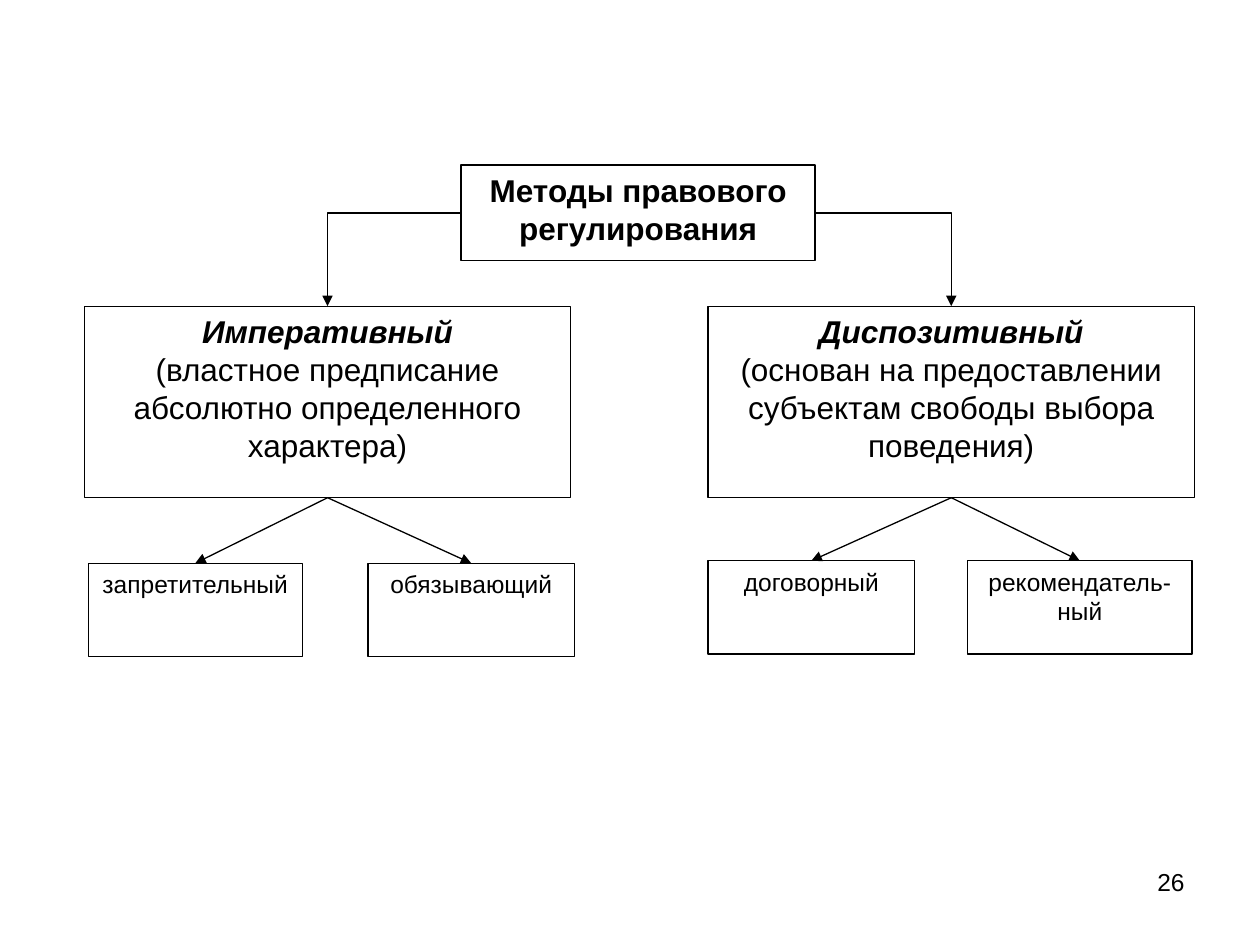
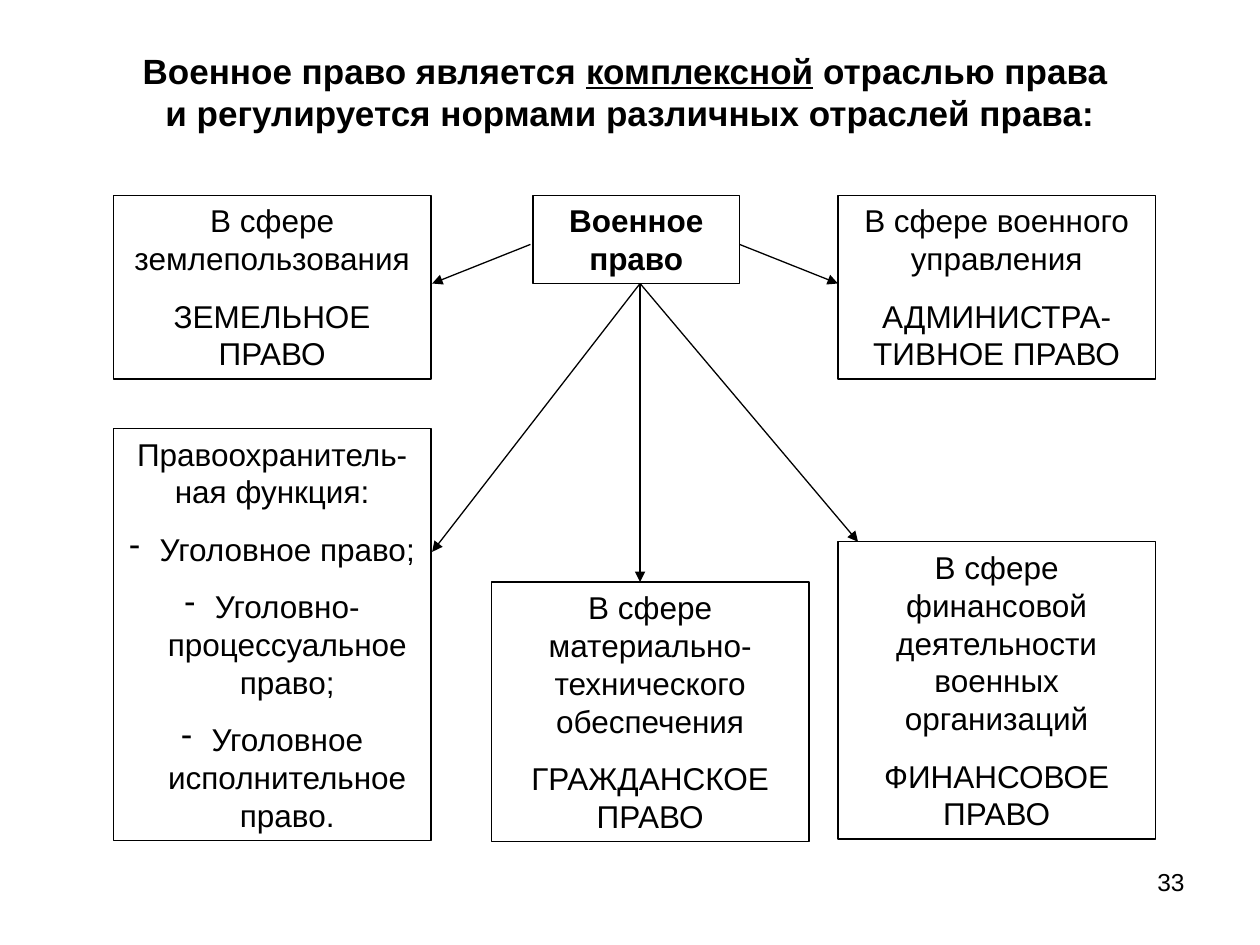
from lxml import etree
from pptx import Presentation
from pptx.dml.color import RGBColor
from pptx.enum.shapes import MSO_CONNECTOR, MSO_SHAPE
from pptx.enum.text import MSO_ANCHOR, PP_ALIGN
from pptx.oxml.ns import qn
from pptx.util import Inches, Pt

CENTER, RIGHT = PP_ALIGN.CENTER, PP_ALIGN.RIGHT
TOP, MIDDLE = MSO_ANCHOR.TOP, MSO_ANCHOR.MIDDLE
RECTANGLE = MSO_SHAPE.RECTANGLE
STRAIGHT, ELBOW = MSO_CONNECTOR.STRAIGHT, MSO_CONNECTOR.ELBOW
# Connection sites of a rectangle
SITE_TOP, SITE_LEFT, SITE_BOTTOM, SITE_RIGHT = range(4)


def color(value):
    return RGBColor.from_string(value)


class Deck:
    font_name = "Arial"
    ink = "000000"
    paper = "FFFFFF"
    line_width = 0.75
    title_size, body_size, small_size = 20, 18, 14
    paragraph_gap = 11.2
    bullet_indent = 0.24

    def __init__(self):
        self.presentation = Presentation()
        self.presentation.slide_width = Inches(10)
        self.presentation.slide_height = Inches(7.5)
        self.slide = None

    def add_slide(self, number):
        layout = self.presentation.slide_layouts[6]
        self.slide = self.presentation.slides.add_slide(layout)
        text_frame = self.text_box(7.17, 6.83, 2.33, 0.52)
        text_frame.text = str(number)
        self.style(text_frame.paragraphs[0], self.small_size, align=RIGHT)

    def text_box(self, left, top, width, height, anchor=TOP):
        shape = self.slide.shapes.add_textbox(
            Inches(left), Inches(top), Inches(width), Inches(height))
        shape.text_frame.word_wrap = True
        shape.text_frame.vertical_anchor = anchor
        return shape.text_frame

    def style(self, paragraph, size, bold=False, italic=False, align=CENTER):
        paragraph.alignment = align
        for run in paragraph.runs:
            font = run.font
            font.name, font.size = self.font_name, Pt(size)
            font.bold, font.italic = bold, italic
            font.color.rgb = color(self.ink)

    def title(self, lines):
        """Each line is a list of (text, underlined) pairs."""
        text_frame = self.text_box(0.5, 0.3, 9, 0.85, MIDDLE)
        paragraph = text_frame.paragraphs[0]
        for index, line in enumerate(lines):
            if index:
                paragraph.add_line_break()
            for text, underlined in line:
                run = paragraph.add_run()
                run.text = text
                run.font.underline = underlined
        self.style(paragraph, self.title_size, bold=True)

    def box(self, left, top, width, height, texts, size=body_size,
            bold=False, italic=False, gap=0, bullets=False, fill=None):
        """Bold and italic apply to the first paragraph, bullets to the rest."""
        shape = self.slide.shapes.add_shape(
            RECTANGLE, Inches(left), Inches(top), Inches(width), Inches(height))
        shape.shadow.inherit = False
        if fill:
            shape.fill.solid()
            shape.fill.fore_color.rgb = color(fill)
        else:
            shape.fill.background()
        self.outline(shape)
        text_frame = shape.text_frame
        text_frame.word_wrap = True
        text_frame.vertical_anchor = TOP
        text_frame.text = "\n".join(texts)
        for index, paragraph in enumerate(text_frame.paragraphs):
            first = index == 0
            if bullets and not first:
                self.add_bullet(paragraph)
            self.style(paragraph, size, bold and first, italic and first)
            paragraph.space_before = Pt(0 if first else gap)
        return shape

    def add_bullet(self, paragraph):
        properties = paragraph._p.get_or_add_pPr()
        indent = Inches(self.bullet_indent)
        properties.set("marL", str(indent))
        properties.set("indent", str(-indent))
        etree.SubElement(properties, qn("a:buChar")).set("char", "-")

    def outline(self, shape):
        shape.line.color.rgb = color(self.ink)
        shape.line.width = Pt(self.line_width)

    def arrow(self, start, end, kind=STRAIGHT):
        connector = self.slide.shapes.add_connector(
            kind, *(Inches(value) for value in (*start, *end)))
        self.outline(connector)
        properties = connector.element.spPr
        line = properties.find(qn("a:ln"))
        etree.SubElement(line, qn("a:tailEnd")).set("type", "triangle")
        etree.SubElement(properties, qn("a:effectLst"))
        return connector

    def join(self, source, source_site, target, kind=STRAIGHT):
        """Glue an arrow from a site of source to the top of target."""
        connector = self.arrow((0, 0), (1, 1), kind)
        connector.begin_connect(source, source_site)
        connector.end_connect(target, SITE_TOP)
        if kind == ELBOW:
            geometry = connector.element.spPr.find(qn("a:prstGeom"))
            geometry.set("prst", "bentConnector2")


def add_methods_slide(deck):
    deck.add_slide(26)
    root = deck.box(3.66, 1.31, 2.81, 0.76, ["Методы правового регулирования"],
                    bold=True, fill=deck.paper)
    branches = [
        (SITE_LEFT, 0.67, "Императивный",
         "(властное предписание абсолютно определенного характера)", 4.47,
         [(0.7, 1.7, "запретительный"), (2.92, 1.64, "обязывающий")]),
        (SITE_RIGHT, 5.62, "Диспозитивный",
         "(основан на предоставлении субъектам свободы выбора поведения)", 4.45,
         [(5.62, 1.64, "договорный"), (7.68, 1.78, "рекомендатель-ный")]),
    ]
    for site, left, name, meaning, kinds_top, kinds in branches:
        method = deck.box(left, 2.43, 3.86, 1.52, [name, meaning],
                          bold=True, italic=True, fill=deck.paper)
        deck.join(root, site, method, ELBOW)
        for kind_left, width, text in kinds:
            kind_box = deck.box(kind_left, kinds_top, width, 0.74, [text],
                                deck.small_size, fill=deck.paper)
            deck.join(method, SITE_BOTTOM, kind_box)


def add_military_law_slide(deck):
    deck.add_slide(33)
    deck.title([
        [("Военное право является ", False), ("комплексной", True),
         (" отраслью права ", False)],
        [("и регулируется нормами различных отраслей права:", False)],
    ])
    deck.box(4.23, 1.55, 1.64, 0.7, ["Военное право"], bold=True)

    left_column, middle_column, right_column = 0.9, 3.9, 6.65
    branches = [
        (right_column, 4.3, 2.36,
         ["В сфере финансовой деятельности военных организаций",
          "ФИНАНСОВОЕ ПРАВО"]),
        (left_column, 3.4, 3.27,
         ["Правоохранитель-ная функция:", "Уголовное право;",
          "Уголовно-процессуальное право;", "Уголовное исполнительное право."]),
        (middle_column, 4.62, 2.06,
         ["В сфере материально-технического обеспечения",
          "ГРАЖДАНСКОЕ ПРАВО"]),
        (left_column, 1.55, 1.46,
         ["В сфере землепользования", "ЗЕМЕЛЬНОЕ ПРАВО"]),
        (right_column, 1.55, 1.46,
         ["В сфере военного управления", "АДМИНИСТРА-ТИВНОЕ ПРАВО"]),
    ]
    for left, top, height, texts in branches:
        deck.box(left, top, 2.52, height, texts, gap=deck.paragraph_gap,
                 bullets=len(texts) > 2)

    deck.arrow((4.21, 1.94), (3.43, 2.25))
    deck.arrow((5.87, 1.94), (6.65, 2.25))
    for end in [(3.43, 4.38), (6.81, 4.3), (5.08, 4.62)]:
        deck.arrow((5.08, 2.25), end)


def main():
    deck = Deck()
    add_methods_slide(deck)
    add_military_law_slide(deck)
    deck.presentation.save("out.pptx")


if __name__ == "__main__":
    main()
